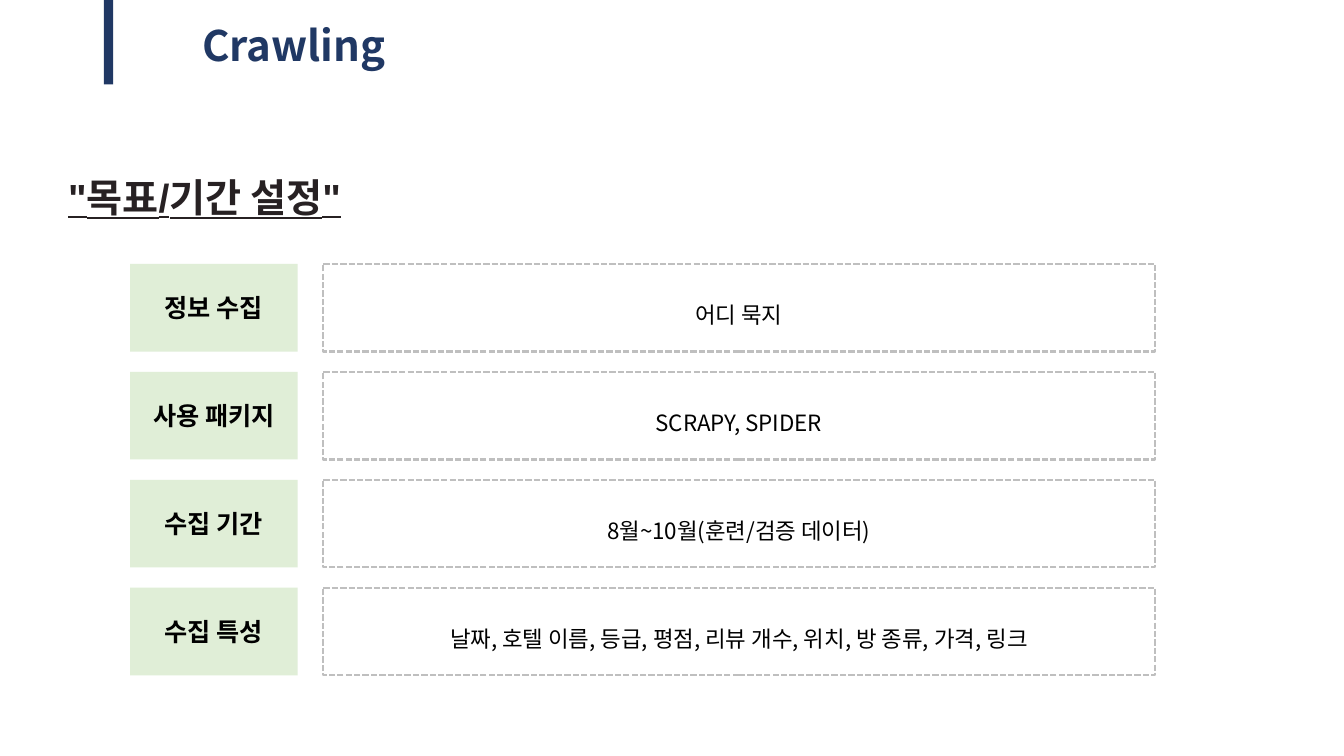
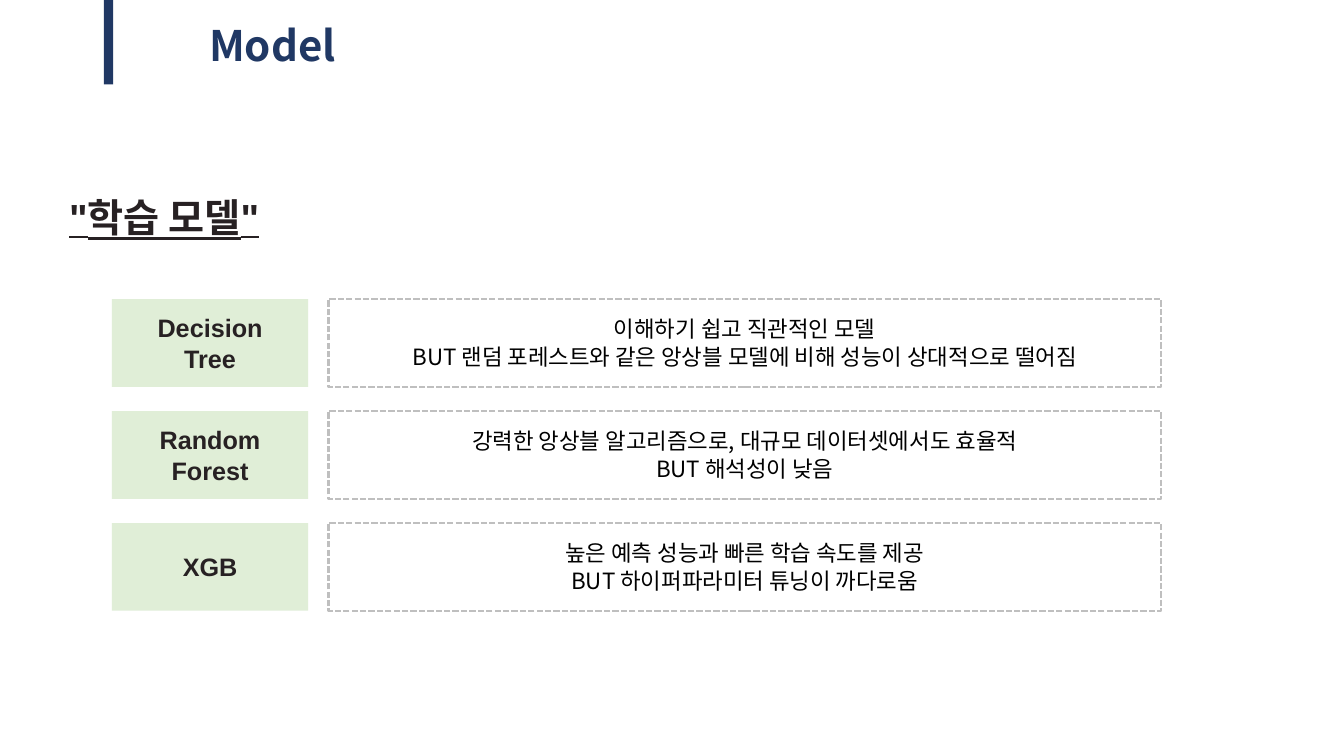
import pptx
import pptx.dml.color
import pptx.enum.dml
import pptx.enum.shapes
import pptx.enum.text
import pptx.oxml
import pptx.oxml.ns
import pptx.util
from pptx.util import Cm

# Shared style
NAVY, INK, BLACK = "203864", "272123", "000000"
GREEN, GRAY, PALE = "C5E0B4", "BFBFBF", "D9D9D9"
SANS, KOREAN = "Arial", "Noto Sans CJK KR"
ROW_HEIGHT = 2.21
PANEL_WIDTH = 20.98


def color(hex_string):
    return pptx.dml.color.RGBColor.from_string(hex_string)


def outline_glyphs(run):
    """Give the letters a thin, mostly transparent outline."""
    run.font._element.insert(0, pptx.oxml.parse_xml(
        f'<a:ln {pptx.oxml.ns.nsdecls("a")} w="9525"><a:solidFill>'
        f'<a:srgbClr val="{PALE}"><a:alpha val="30000"/></a:srgbClr>'
        '</a:solidFill><a:prstDash val="solid"/></a:ln>'))


def write(frame, text, *, size, ink=BLACK, font=KOREAN, bold=False,
          underline=False, outlined=False, line_spacing=None, gap=None):
    """Write one centred paragraph for each line of the text."""
    frame.word_wrap = True
    for index, line in enumerate(text.split("\n")):
        paragraph = frame.add_paragraph() if index else frame.paragraphs[0]
        paragraph.alignment = pptx.enum.text.PP_ALIGN.CENTER
        if line_spacing:
            paragraph.line_spacing = line_spacing
        if index and gap:
            paragraph.space_before = pptx.util.Pt(gap)
        run = paragraph.add_run()
        run.text = line
        run.font.size = pptx.util.Pt(size)
        run.font.name = font
        run.font.bold = bold
        run.font.underline = underline
        run.font.color.rgb = color(ink)
        if outlined:
            outline_glyphs(run)


def add_label(slide, text, left, top, width, height, **style):
    label = slide.shapes.add_textbox(Cm(left), Cm(top), Cm(width), Cm(height))
    write(label.text_frame, text, **style)


def add_box(slide, left, top, width, height, fill=None, opacity=None):
    box = slide.shapes.add_shape(pptx.enum.shapes.MSO_SHAPE.RECTANGLE,
                                 Cm(left), Cm(top), Cm(width), Cm(height))
    box.shadow.inherit = False
    box.line.fill.background()
    if fill:
        box.fill.solid()
        box.fill.fore_color.rgb = color(fill)
    else:
        box.fill.background()
    if opacity:
        swatch = box.fill._xPr.find(".//" + pptx.oxml.ns.qn("a:srgbClr"))
        swatch.append(pptx.oxml.parse_xml(
            f'<a:alpha {pptx.oxml.ns.nsdecls("a")} val="{opacity * 1000}"/>'))
    frame = box.text_frame
    frame.vertical_anchor = pptx.enum.text.MSO_ANCHOR.MIDDLE
    frame.margin_left = frame.margin_right = Cm(0.33)
    frame.margin_top = frame.margin_bottom = Cm(0.16)
    return box


def add_slide(deck, title, title_left, title_width):
    """Start a slide with the navy bar and its title."""
    slide = deck.slides.add_slide(deck.slide_layouts[6])
    add_box(slide, 2.62, 0, 0.23, 2.13, fill=NAVY)
    add_label(slide, title, title_left, 0.38, title_width, 1.55,
              size=30, ink=NAVY, bold=True)
    return slide


def add_heading(slide, text, left, top, width):
    add_label(slide, text, left, top, width, 1.45, size=28, ink=INK,
              font=SANS, bold=True, underline=True, outlined=True)


def add_rows(slide, rows, *, top, pitch, tag_left, tag_width, panel_left,
             tag_ink, **detail_style):
    """Stack rows of a green tag and a dashed panel."""
    for index, (tag_text, detail) in enumerate(rows):
        row_top = top + index * pitch
        tag = add_box(slide, tag_left, row_top, tag_width, ROW_HEIGHT,
                      fill=GREEN, opacity=53)
        write(tag.text_frame, tag_text, size=18, ink=tag_ink, font=SANS,
              bold=True, outlined=True)
        panel = add_box(slide, panel_left, row_top, PANEL_WIDTH, ROW_HEIGHT)
        panel.line.color.rgb = color(GRAY)
        panel.line.width = pptx.util.Pt(1.5)
        panel.line.dash_style = pptx.enum.dml.MSO_LINE.SQUARE_DOT
        write(panel.text_frame, detail, size=16, **detail_style)


def main():
    deck = pptx.Presentation()
    deck.slide_width, deck.slide_height = Cm(33.87), Cm(19.05)

    # Crawling: goal and period
    crawling = add_slide(deck, "Crawling", 4.65, 5.51)
    add_heading(crawling, '"목표/기간 설정"', 0.53, 4.24, 9.25)
    add_rows(crawling, [
        ("정보 수집", "어디 묵지"),
        ("사용 패키지", "SCRAPY, SPIDER"),
        ("수집 기간", "8월~10월(훈련/검증 데이터)"),
        ("수집 특성", "날짜, 호텔 이름, 등급, 평점, 리뷰 개수, 위치, 방 종류, 가격, 링크"),
    ], top=6.65, pitch=2.72, tag_left=3.28, tag_width=4.22, panel_left=8.13,
        tag_ink=BLACK, line_spacing=1.5)

    # Model: candidates and their trade-offs
    model = add_slide(deck, "Model", 4.75, 4.24)
    add_heading(model, '"학습 모델"', 0, 4.75, 8.28)
    add_rows(model, [
        ("Decision\nTree", "이해하기 쉽고 직관적인 모델\n"
         "BUT 랜덤 포레스트와 같은 앙상블 모델에 비해 성능이 상대적으로 떨어짐"),
        ("Random\nForest", "강력한 앙상블 알고리즘으로, 대규모 데이터셋에서도 효율적\n"
         "BUT 해석성이 낮음"),
        ("XGB", "높은 예측 성능과 빠른 학습 속도를 제공\n"
         "BUT 하이퍼파라미터 튜닝이 까다로움"),
    ], top=7.54, pitch=2.82, tag_left=2.82, tag_width=4.95, panel_left=8.28,
        tag_ink=INK, gap=0.8)

    deck.save("out.pptx")


if __name__ == "__main__":
    main()
